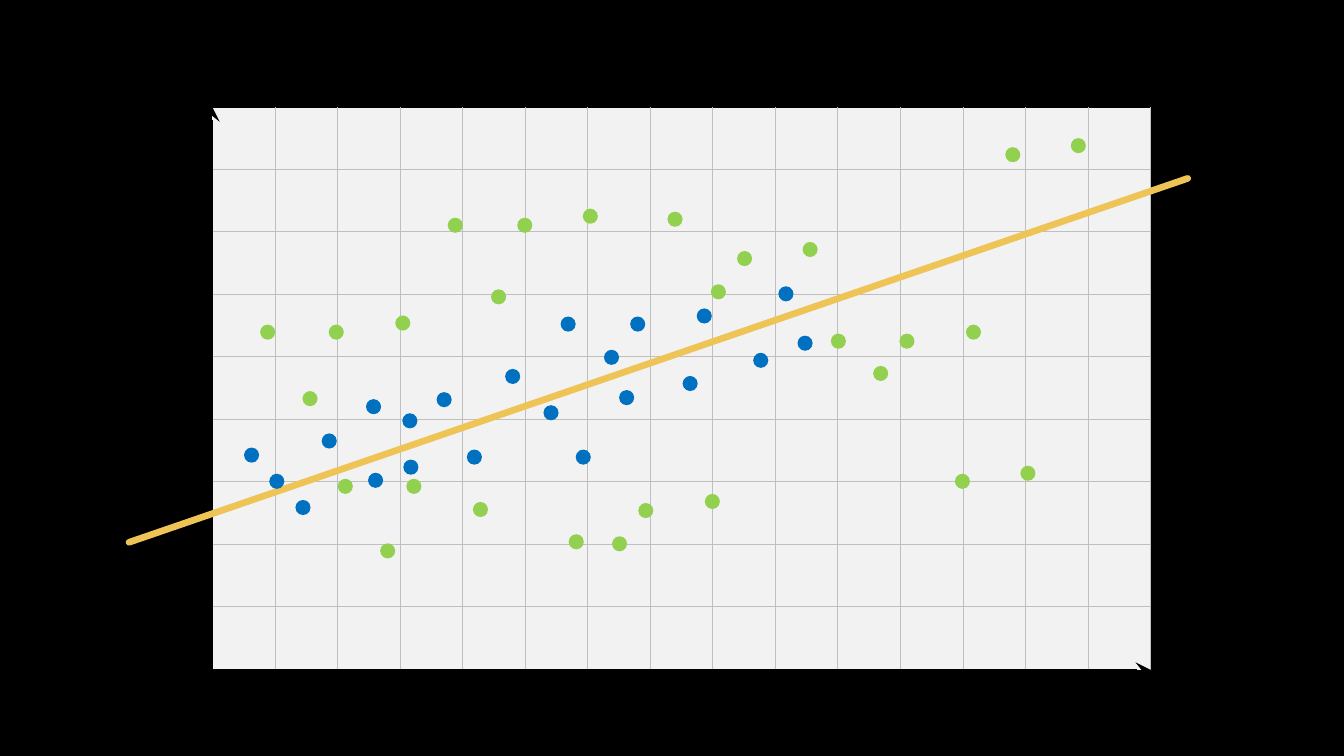
from dataclasses import dataclass
from typing import Optional

from lxml.etree import SubElement as SubEl
from pptx import Presentation as Deck
from pptx.dml.color import RGBColor as Color
from pptx.enum.shapes import MSO_CONNECTOR as Link, MSO_SHAPE as Shape
from pptx.oxml.ns import qn
from pptx.util import Inches, Pt


@dataclass(frozen=True)
class Theme:
    back: str = "000000"
    plot: str = "F2F2F2"
    grid: str = "BFBFBF"
    axis: str = "000000"
    trend: str = "EFC457"
    near: str = "0070C0"
    far: str = "92D050"
    thin: float = 0.5
    frame: float = 1.25
    thick: float = 4.75


@dataclass(frozen=True)
class Line:
    x1: float
    y1: float
    x2: float
    y2: float
    color: str
    width: float
    head: Optional[str] = None
    cap: Optional[str] = None


@dataclass(frozen=True)
class Series:
    color: str
    dots: tuple[tuple[float, float], ...]


THEME = Theme()

# Plot area and grid
LEFT, TOP, WIDE, HIGH = 2.09, 1.06, 9.33, 5.6
RIGHT, BASE = LEFT + WIDE, TOP + HIGH
STEP = 0.62
ROWS, COLS = 8, 15
ROW_TOP, COL_LEFT = 1.68, 2.73
DOT = 0.15

GRID = [
    Line(LEFT, y, RIGHT, y, THEME.grid, THEME.thin)
    for y in (ROW_TOP + STEP * i for i in range(ROWS))
] + [
    Line(x, BASE, x, TOP, THEME.grid, THEME.thin)
    for x in (COL_LEFT + STEP * i for i in range(COLS))
]
AXES = [
    Line(2.08, 6.67, 11.46, 6.67, THEME.axis, THEME.thick, head="stealth"),
    Line(2.08, 6.66, 2.08, 1.01, THEME.axis, THEME.thick, head="stealth"),
]
TREND = Line(1.28, 5.38, 11.78, 1.77, THEME.trend, THEME.thick, cap="rnd")

# Left and top of each dot
NEAR = Series(THEME.near, (
    (2.42, 4.44), (2.67, 4.7), (2.93, 4.96), (3.19, 4.3), (3.65, 4.69),
    (3.63, 3.96), (3.99, 4.1), (4, 4.56), (4.33, 3.89), (4.63, 4.46),
    (5.01, 3.66), (5.39, 4.02), (5.56, 3.14), (5.71, 4.46), (6.14, 3.87),
    (5.99, 3.47), (6.25, 3.14), (6.77, 3.73), (6.91, 3.06), (7.47, 3.5),
    (7.72, 2.84), (7.91, 3.33),
))
FAR = Series(THEME.far, (
    (2.58, 3.22), (3, 3.88), (3.26, 3.22), (3.92, 3.13), (3.35, 4.75),
    (3.77, 5.39), (4.03, 4.75), (4.69, 4.98), (4.44, 2.16), (4.87, 2.87),
    (5.13, 2.16), (5.78, 2.07), (5.64, 5.3), (6.07, 5.32), (6.33, 4.99),
    (6.99, 4.9), (6.62, 2.1), (7.05, 2.82), (7.31, 2.49), (7.96, 2.4),
    (8.24, 3.31), (8.66, 3.63), (8.92, 3.31), (9.58, 3.22), (9.97, 1.46),
    (10.62, 1.37), (9.47, 4.7), (10.12, 4.62),
))


def rgb(code: str) -> Color:
    return Color.from_string(code)


def add_line(shapes, line: Line) -> None:
    link = shapes.add_connector(
        Link.STRAIGHT, Inches(line.x1), Inches(line.y1),
        Inches(line.x2), Inches(line.y2))
    link.line.color.rgb = rgb(line.color)
    link.line.width = Pt(line.width)
    props = link.element.spPr
    stroke = props.find(qn("a:ln"))
    if line.cap:
        stroke.set("cap", line.cap)
    if line.head:
        SubEl(stroke, qn("a:tailEnd"), type=line.head)
    SubEl(props, qn("a:effectLst"))


def add_form(shapes, kind: Shape, x: float, y: float, w: float, h: float,
             fill: str, edge: Optional[str] = None):
    form = shapes.add_shape(kind, Inches(x), Inches(y), Inches(w), Inches(h))
    form.shadow.inherit = False
    form.fill.solid()
    form.fill.fore_color.rgb = rgb(fill)
    if edge:
        form.line.color.rgb = rgb(edge)
        form.line.width = Pt(THEME.frame)
    else:
        form.line.fill.background()


def main() -> None:
    deck = Deck()
    deck.slide_width, deck.slide_height = Inches(13.33), Inches(7.5)
    slide = deck.slides.add_slide(deck.slide_layouts[6])
    slide.background.fill.solid()
    slide.background.fill.fore_color.rgb = rgb(THEME.back)
    shapes = slide.shapes

    # Plot area
    add_form(shapes, Shape.RECTANGLE, LEFT, TOP, WIDE, HIGH,
             THEME.plot, edge=THEME.axis)

    # Grid and axes, one group each
    for lines in (GRID, AXES):
        group = shapes.add_group_shape()
        for line in lines:
            add_line(group.shapes, line)

    # Trend line
    add_line(shapes, TREND)

    # Data points
    for series in (NEAR, FAR):
        for x, y in series.dots:
            add_form(shapes, Shape.OVAL, x, y, DOT, DOT, series.color)

    deck.save("out.pptx")


if __name__ == "__main__":
    main()
